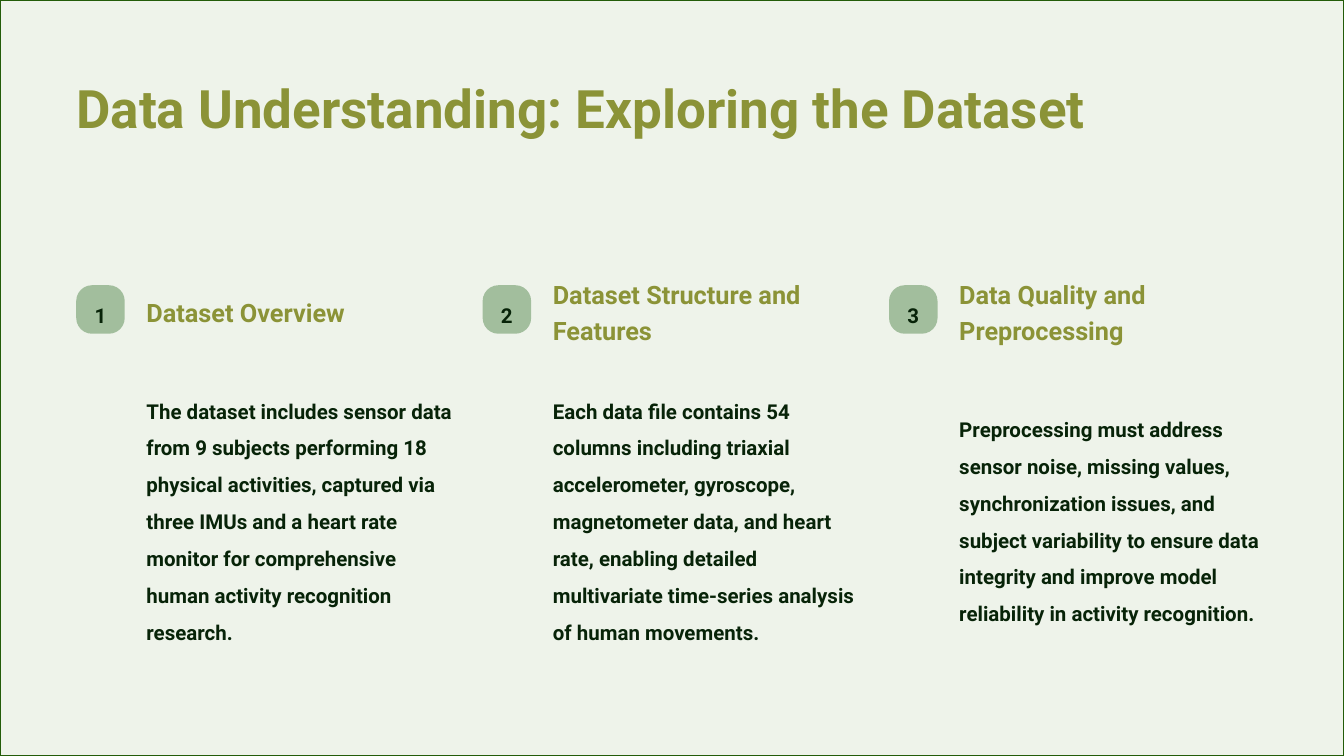
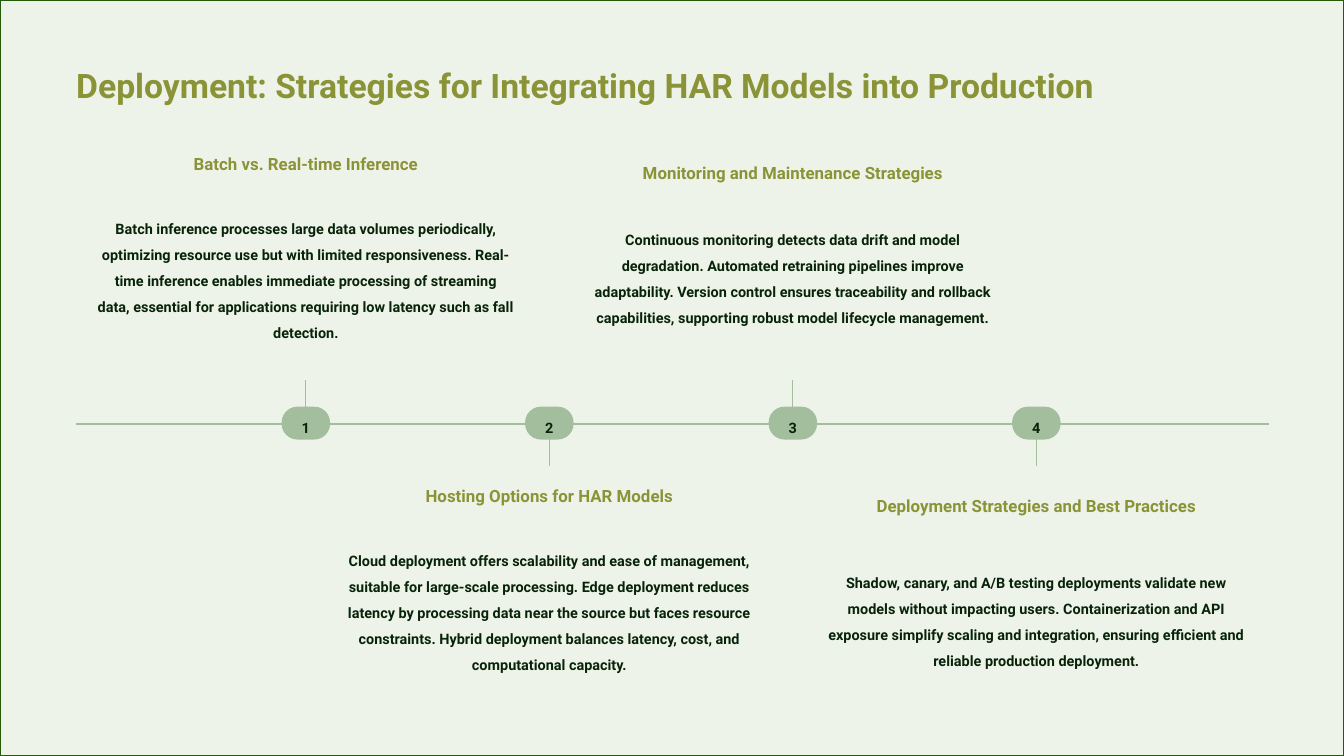
from pptx import Presentation
from pptx.dml.color import RGBColor
from pptx.enum.shapes import MSO_CONNECTOR as LINE, MSO_SHAPE as SHAPE
from pptx.enum.text import MSO_ANCHOR as ANCHOR, PP_ALIGN as ALIGN
from pptx.oxml.ns import qn
from pptx.util import Inches, Pt
from lxml import etree

FONT = "Roboto"
PALE = RGBColor(0xEE, 0xF3, 0xEA)
EDGE = RGBColor(0x23, 0x5C, 0x09)
SAGE = RGBColor(0xA2, 0xBE, 0x9D)
OLIVE = RGBColor(0x8B, 0x93, 0x37)
INK = RGBColor(0x07, 0x23, 0x08)

WIDE, HIGH = 15.51, 8.72
LEFT, SPAN = 0.88, 13.76

# Heading and body of each column
TOPICS = [
    ("Dataset Overview",
     "The dataset includes sensor data from 9 subjects performing 18 physical "
     "activities, captured via three IMUs and a heart rate monitor for "
     "comprehensive human activity recognition research."),
    ("Dataset Structure and Features",
     "Each data file contains 54 columns including triaxial accelerometer, "
     "gyroscope, magnetometer data, and heart rate, enabling detailed "
     "multivariate time-series analysis of human movements."),
    ("Data Quality and Preprocessing",
     "Preprocessing must address sensor noise, missing values, synchronization "
     "issues, and subject variability to ensure data integrity and improve "
     "model reliability in activity recognition."),
]

# Heading, its height, body, its height
STEPS = [
    ("Batch vs. Real-time Inference", 0.24,
     "Batch inference processes large data volumes periodically, optimizing "
     "resource use but with limited responsiveness. Real-time inference enables "
     "immediate processing of streaming data, essential for applications "
     "requiring low latency such as fall detection.", 2.04),
    ("Hosting Options for HAR Models", 0.24,
     "Cloud deployment offers scalability and ease of management, suitable for "
     "large-scale processing. Edge deployment reduces latency by processing data "
     "near the source but faces resource constraints. Hybrid deployment balances "
     "latency, cost, and computational capacity.", 2.04),
    ("Monitoring and Maintenance Strategies", 0.47,
     "Continuous monitoring detects data drift and model degradation. Automated "
     "retraining pipelines improve adaptability. Version control ensures "
     "traceability and rollback capabilities, supporting robust model lifecycle "
     "management.", 1.53),
    ("Deployment Strategies and Best Practices", 0.47,
     "Shadow, canary, and A/B testing deployments validate new models without "
     "impacting users. Containerization and API exposure simplify scaling and "
     "integration, ensuring efficient and reliable production deployment.", 1.79),
]


def write(shape, text, size, color, gap, align):
    frame = shape.text_frame
    frame.word_wrap = True
    frame.vertical_anchor = ANCHOR.MIDDLE
    frame.margin_left = frame.margin_right = 0
    frame.margin_top = frame.margin_bottom = 0
    para = frame.paragraphs[0]
    para.text = text
    para.alignment = align
    para.line_spacing = gap
    font = para.font
    font.name, font.size, font.bold = FONT, Pt(size), True
    font.color.rgb = color


def add_text(slide, box, text, size, color, gap, align=ALIGN.LEFT):
    label = slide.shapes.add_textbox(*map(Inches, box))
    write(label, text, size, color, gap, align)


def add_head(slide, box, text, size, align=ALIGN.LEFT):
    add_text(slide, box, text, size, OLIVE, 1.2, align)


def add_body(slide, box, text, size, align=ALIGN.LEFT):
    add_text(slide, box, text, size, INK, 1.5, align)


def add_shape(slide, kind, box, fill):
    shape = slide.shapes.add_shape(kind, *map(Inches, box))
    shape.shadow.inherit = False
    shape.fill.solid()
    shape.fill.fore_color.rgb = fill
    shape.line.fill.background()
    return shape


def add_badge(slide, box, num, size, curve):
    badge = add_shape(slide, SHAPE.ROUNDED_RECTANGLE, box, SAGE)
    badge.adjustments[0] = curve
    write(badge, str(num), size, INK, 1.5, ALIGN.CENTER)


def add_line(slide, *ends):
    line = slide.shapes.add_connector(LINE.STRAIGHT, *map(Inches, ends))
    line.line.color.rgb = SAGE
    line.line.width = Pt(1)
    etree.SubElement(line._element.spPr, qn("a:effectLst"))


def add_page(deck, title, box, size):
    """Framed page with its title."""
    slide = deck.slides.add_slide(deck.slide_layouts[6])
    frame = add_shape(slide, SHAPE.RECTANGLE, (0, 0, WIDE, HIGH), PALE)
    frame.line.color.rgb = EDGE
    frame.line.width = Pt(2)
    add_head(slide, box, title, size)
    return slide


def add_topic(slide, left, top, num, head, body):
    """Numbered column: badge, heading beside it, body below."""
    add_badge(slide, (left, top + 0.07, 0.56, 0.56), num, 17, 0.325)
    inner = left + 0.81
    add_head(slide, (inner, top, 3.56, 0.69), head, 21)
    add_body(slide, (inner, top + 1.14, 3.56, 3.17), body, 17)


def add_step(slide, mid, axis, num, step):
    """Step on the axis: odd ones stand above it, even ones below."""
    head, head_h, body, body_h = step
    above = num % 2 == 1
    add_line(slide, mid, axis, mid, axis + (-0.51 if above else 0.49))
    add_badge(slide, (mid - 0.28, axis - 0.2, 0.56, 0.38), num, 12, 0.481)
    wide = 4.81
    left = mid - wide / 2
    top = axis + (-3.15 if above else 0.68)
    add_head(slide, (left, top, wide, head_h), head, 14, ALIGN.CENTER)
    top += head_h + 0.19
    add_body(slide, (left, top, wide, body_h), body, 12, ALIGN.CENTER)


def add_columns(deck):
    slide = add_page(deck, "Data Understanding: Exploring the Dataset",
                     (LEFT, 0.57, SPAN, 1.18), 44)
    for i, topic in enumerate(TOPICS):
        add_topic(slide, LEFT + 4.69 * i, 3.22, i + 1, *topic)


def add_timeline(deck):
    slide = add_page(
        deck, "Deployment: Strategies for Integrating HAR Models into Production",
        (LEFT, 0.46, SPAN, 0.96), 28)
    axis = 4.89
    add_line(slide, LEFT, axis, LEFT + SPAN, axis)
    for i, step in enumerate(STEPS):
        add_step(slide, 3.53 + 2.81 * i, axis, i + 1, step)


def main():
    deck = Presentation()
    deck.slide_width, deck.slide_height = Inches(WIDE), Inches(HIGH)
    add_columns(deck)
    add_timeline(deck)
    deck.save("out.pptx")


if __name__ == "__main__":
    main()
